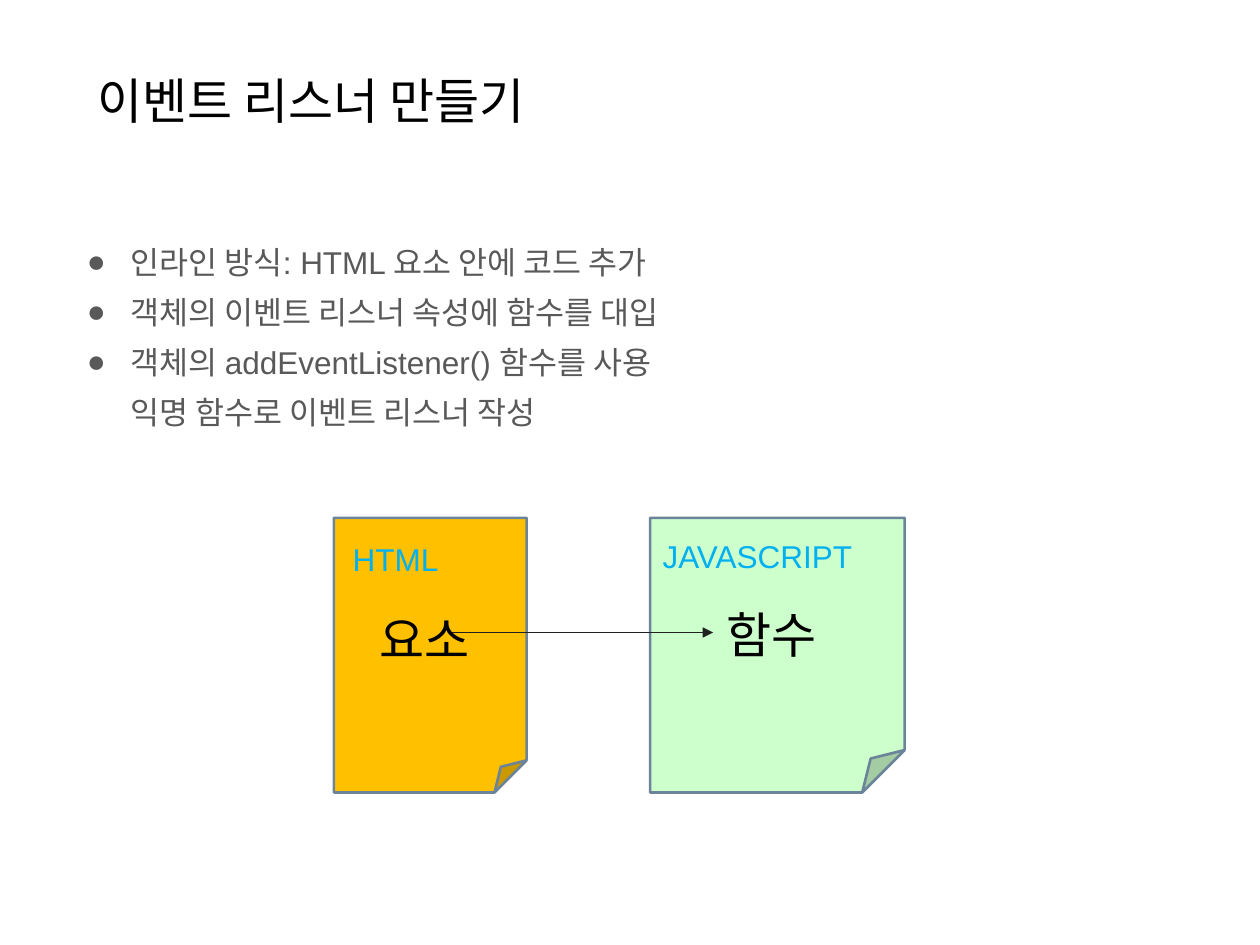
"""Build the slide on making event listeners."""
from lxml import etree
from pptx import Presentation
from pptx import util as u
from pptx.dml.color import RGBColor
from pptx.enum import shapes, text
from pptx.oxml import ns


def rgb(value):
    return RGBColor.from_string(value)


def write(sp, lines, size, color, align=text.PP_ALIGN.LEFT, anchor=text.MSO_ANCHOR.TOP, wrap=True):
    tf = sp.text_frame
    frame = {"word_wrap": wrap, "auto_size": text.MSO_AUTO_SIZE.NONE, "vertical_anchor": anchor,
             "margin_left": u.Inches(0.1), "margin_right": u.Inches(0.1),
             "margin_top": u.Inches(0.05), "margin_bottom": u.Inches(0.05)}
    for name, value in frame.items():
        setattr(tf, name, value)
    for i, line in enumerate(lines):
        p = tf.add_paragraph() if i else tf.paragraphs[0]
        p.alignment = align
        r = p.add_run()
        r.text = line
        for name, value in {"name": "Arial", "size": u.Pt(size)}.items():
            setattr(r.font, name, value)
        r.font.color.rgb = rgb(color)
    return tf.paragraphs


prs = Presentation()
prs.slide_width, prs.slide_height = u.Inches(10), u.Inches(7.5)
s = prs.slides.add_slide(prs.slide_layouts[5])

title = s.shapes.title
box = {"left": 0.67, "top": 0.25, "width": 8.92, "height": 1.08}
for name, value in box.items():
    setattr(title, name, u.Inches(value))
write(title, ["이벤트 리스너 만들기"], 28, "000000", anchor=text.MSO_ANCHOR.MIDDLE)

methods = ["인라인 방식: HTML 요소 안에 코드 추가", "객체의 이벤트 리스너 속성에 함수를 대입",
           "객체의 addEventListener() 함수를 사용", "익명 함수로 이벤트 리스너 작성"]
body = s.shapes.add_textbox(*map(u.Inches, (0.59, 1.88, 8.92, 4.92)))
for i, p in enumerate(write(body, methods, 18, "595959")):
    p.space_before = u.Pt(7 if i else 0)
    bulleted = i < len(methods) - 1
    pPr = p._p.get_or_add_pPr()
    pPr.set("marL", str(u.Inches(0.35)))
    pPr.set("indent", str(u.Inches(-0.35 if bulleted else 0)))
    if bulleted:
        buClr = etree.SubElement(pPr, ns.qn("a:buClr"))
        etree.SubElement(buClr, ns.qn("a:srgbClr"), val="595959")
        etree.SubElement(pPr, ns.qn("a:buFont"), typeface="Arial")
        etree.SubElement(pPr, ns.qn("a:buChar"), char="●")

files = [(2.65, 1.53, "FFC000", "요소 ", "HTML", (2.7, 4.24, 0.89, 0.4)),
         (5.16, 2.02, "CCFFCC", "함수 ", "JAVASCRIPT", (5.16, 4.21, 1.72, 0.4))]
for left, width, fill, content, language, label_box in files:
    page = s.shapes.add_shape(shapes.MSO_SHAPE.FOLDED_CORNER,
                              *map(u.Inches, (left, 4.11, width, 2.18)))
    page.shadow.inherit = False
    page.fill.solid()
    page.fill.fore_color.rgb = rgb(fill)
    page.line.color.rgb = rgb("6C8499")
    page.line.width = u.Pt(1.5)
    write(page, [content], 28, "000000", text.PP_ALIGN.CENTER, text.MSO_ANCHOR.MIDDLE)
    label = s.shapes.add_textbox(*map(u.Inches, label_box))
    write(label, [language], 18, "00B0F0", wrap=False)

arrow = s.shapes.add_connector(shapes.MSO_CONNECTOR.STRAIGHT,
                               *map(u.Inches, (3.59, 5.02, 5.66, 5.02)))
arrow.line.color.rgb = rgb("212121")
arrow.line.width = u.Pt(0.79)
etree.SubElement(arrow.line._get_or_add_ln(), ns.qn("a:tailEnd"), type="triangle")
etree.SubElement(arrow._element.spPr, ns.qn("a:effectLst"))

prs.save("out.pptx")
